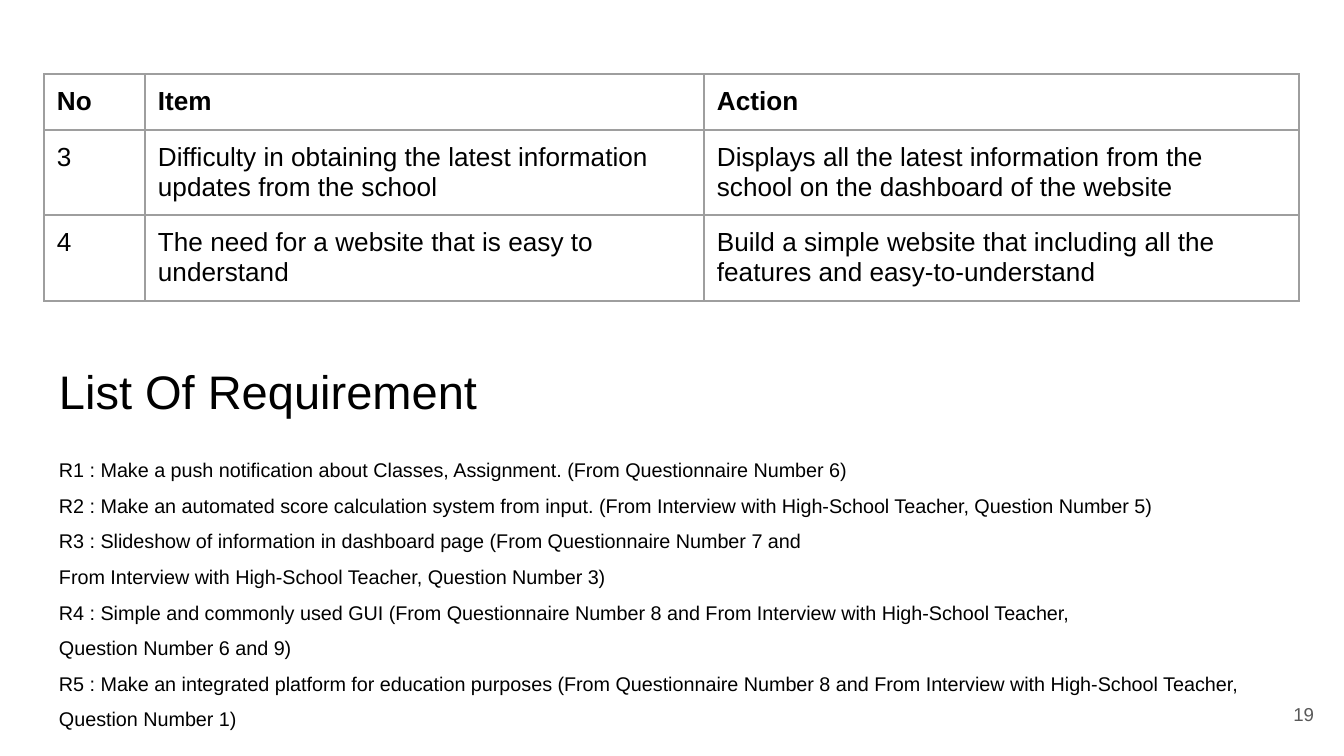
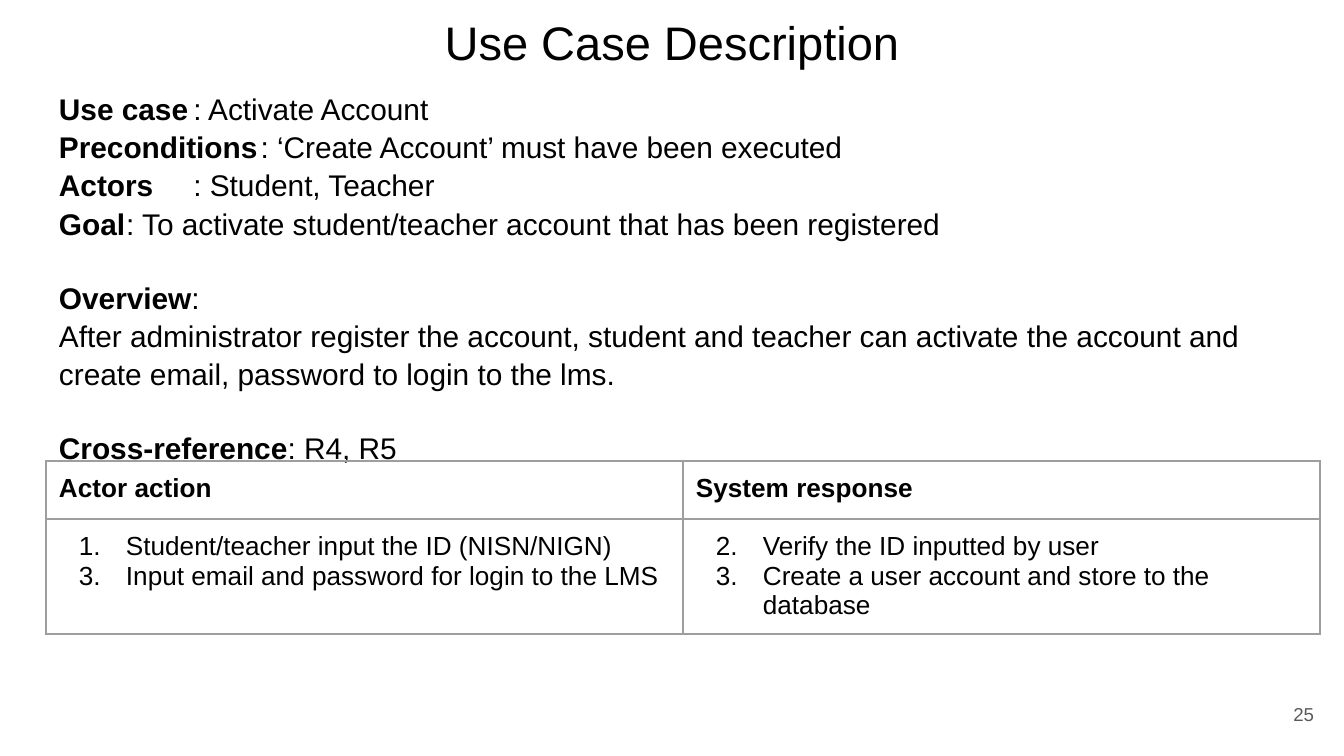
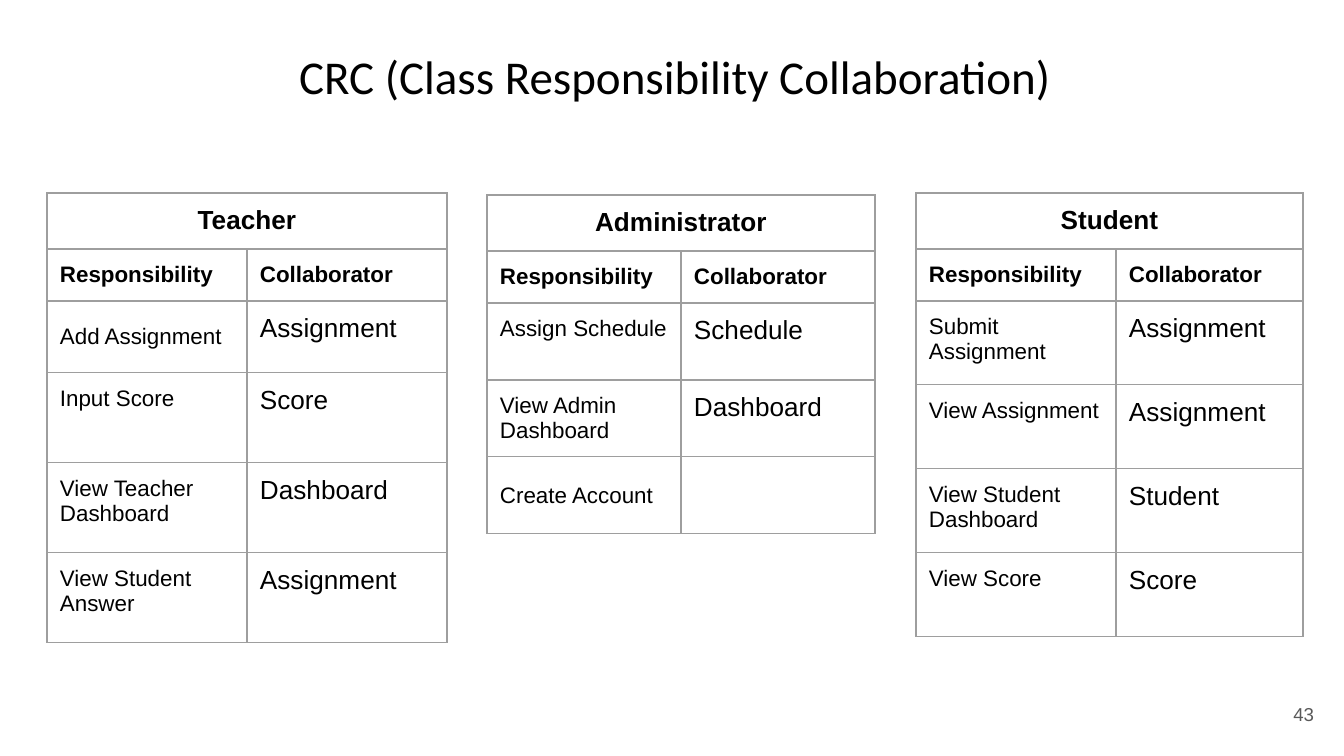
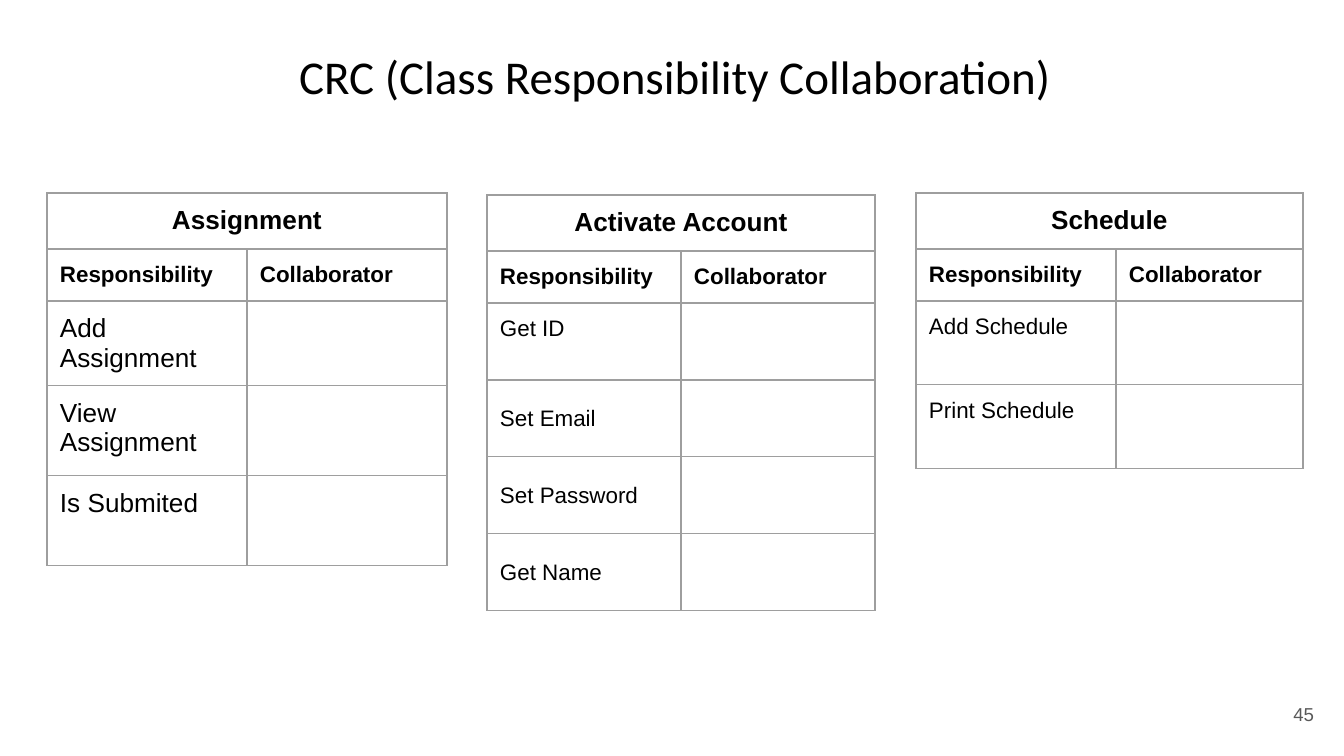
from lxml.etree import SubElement
from pptx import Presentation
from pptx.dml.color import RGBColor
from pptx.enum.text import MSO_ANCHOR as Anchor, MSO_AUTO_SIZE as AutoSize, PP_ALIGN as Align
from pptx.oxml.ns import qn
from pptx.util import Emu, Pt

SCALE = 914400 / 134.4  # EMU in one px
COLORS = {"text": "000000", "border": "9E9E9E", "number": "595959"}
INSETS = ("margin_left", "margin_top", "margin_right", "margin_bottom")
INSET = Emu(round(13 * SCALE))
BORDERS = ("a:lnL", "a:lnR", "a:lnT", "a:lnB")


def write(paragraph, text, size, bold=False, font="Arial", color="text"):
    run = paragraph.add_run()
    run.text = text
    formats = {"size": Pt(size), "bold": bold, "name": font}
    for name, value in formats.items():
        setattr(run.font, name, value)
    run.font.color.rgb = RGBColor.from_string(COLORS[color])


def add_grid(slide, left, top, widths, heights, rows):
    """Each row holds its texts, one size per text, and whether it is bold."""
    box = [Emu(round(v * SCALE)) for v in (left, top, sum(widths), sum(heights))]
    table = slide.shapes.add_table(len(rows), len(widths), *box).table
    table.first_row = table.horz_banding = False
    for column, width in zip(table.columns, widths):
        column.width = Emu(round(width * SCALE))
    for row, height, (texts, sizes, bold) in zip(table.rows, heights, rows):
        row.height = Emu(round(height * SCALE))
        for cell, text, size in zip(row.cells, texts, sizes):
            for inset in INSETS:
                setattr(cell, inset, INSET)
            properties = cell._tc.get_or_add_tcPr()
            for border in BORDERS:
                line = SubElement(properties, qn(border), w=str(Pt(0.75)))
                fill = SubElement(line, qn("a:solidFill"))
                SubElement(fill, qn("a:srgbClr"), val=COLORS["border"])
            cell.fill.background()
            if text:
                write(cell.text_frame.paragraphs[0], text, size, bold)
    return table


presentation = Presentation()
presentation.slide_width = Emu(round(1344 * SCALE))
presentation.slide_height = Emu(round(756 * SCALE))
BODY_LAYOUT, TITLE_LAYOUT = presentation.slide_layouts[1], presentation.slide_layouts[5]

# Titles, body boxes and page numbers of all slides
CRC = "CRC (Class Responsibility Collaboration)"
CRC_BOX = (286, 34, 860, 85)
pages = [
    (BODY_LAYOUT, "List Of Requirement", "Arial", Align.LEFT, (46, 349, 517, 85), (46, 433, 1254, 286), 19),
    (BODY_LAYOUT, "Use Case Description", "Arial", Align.CENTER, (310, 0, 724, 83), (46, 75, 1253, 625), 25),
    (TITLE_LAYOUT, CRC, "Calibri", Align.LEFT, CRC_BOX, None, 43),
    (TITLE_LAYOUT, CRC, "Calibri", Align.LEFT, CRC_BOX, None, 45),
]
for layout, title, font, alignment, title_box, body_box, number in pages:
    slide = presentation.slides.add_slide(layout)
    number_shape = slide.shapes.add_textbox(0, 0, 0, 0)
    placements = [(slide.shapes.title, title_box), (number_shape, (1246, 685, 81, 58))]
    if body_box:
        placements.append((slide.placeholders[1], body_box))
    for shape, box in placements:
        for name, value in zip(("left", "top", "width", "height"), box):
            setattr(shape, name, Emu(round(value * SCALE)))
        frame_formats = {"word_wrap": True, "auto_size": AutoSize.NONE, "vertical_anchor": Anchor.TOP}
        frame_formats.update(dict.fromkeys(INSETS, INSET))
        for name, value in frame_formats.items():
            setattr(shape.text_frame, name, value)
    title_paragraph = slide.shapes.title.text_frame.paragraphs[0]
    title_paragraph.alignment = alignment
    write(title_paragraph, title, 25.2, font=font)
    number_shape.text_frame.vertical_anchor = Anchor.MIDDLE
    number_paragraph = number_shape.text_frame.paragraphs[0]
    number_paragraph.alignment = Align.RIGHT
    write(number_paragraph, str(number), 10, color="number")

requirement_slide, use_case_slide, actor_slide, class_slide = presentation.slides

# Body texts: bold label, plain text, space before in points, tab stop in px
requirements = [("", text, 0, 0) for text in (
    "R1 : Make a push notification about Classes, Assignment. (From Questionnaire Number 6)",
    "R2 : Make an automated score calculation system from input. "
    "(From Interview with High-School Teacher, Question Number 5)",
    "R3 : Slideshow of information in dashboard page (From Questionnaire Number 7 and",
    "From Interview with High-School Teacher, Question Number 3)",
    "R4 : Simple and commonly used GUI (From Questionnaire Number 8 and From Interview with High-School Teacher,",
    "Question Number 6 and 9)",
    "R5 : Make an integrated platform for education purposes "
    "(From Questionnaire Number 8 and From Interview with High-School Teacher,",
    "Question Number 1)",
)]
use_case = [
    ("Use case", "\t: Activate Account", 0, 269),
    ("Preconditions", "\t: ‘Create Account’ must have been executed", 0, 269),
    ("Actors", "\t: Student, Teacher", 0, 269),
    ("Goal", "\t: To activate student/teacher account that has been registered", 0, 403),
    ("Overview", ":", 19, 0),
    ("", "After administrator register the account, student and teacher can activate the account and "
         "create email, password to login to the lms.", 0, 0),
    ("Cross-reference", ": R4, R5", 19, 0),
]
for slide, lines, size, spacing in (
    (requirement_slide, requirements, 10.6, 1.5),
    (use_case_slide, use_case, 16, 1.07),
):
    frame = slide.placeholders[1].text_frame
    for index, (label, text, space, tab) in enumerate(lines):
        paragraph = frame.add_paragraph() if index else frame.paragraphs[0]
        paragraph.line_spacing = spacing
        paragraph.space_before = Pt(space)
        properties = paragraph._p.get_or_add_pPr()
        properties.set("marL", "0")
        properties.set("indent", "0")
        SubElement(properties, qn("a:buNone"))
        if tab:
            tabs = SubElement(properties, qn("a:tabLst"))
            SubElement(tabs, qn("a:tab"), pos=str(round(tab * SCALE)), algn="l")
        if label:
            write(paragraph, label, size, bold=True)
        write(paragraph, text, size)

# Items and actions
add_grid(requirement_slide, 44, 74, (101, 559, 595), (56, 85, 86), [
    (("No", "Item", "Action"), (14, 14, 14), True),
    (("3", "Difficulty in obtaining the latest information updates from the school",
      "Displays all the latest information from the school on the dashboard of the website"), (14, 14, 14), False),
    (("4", "The need for a website that is easy to understand",
      "Build a simple website that including all the features and easy-to-understand"), (14, 14, 14), False),
])

# Actor actions and system responses, as numbered steps
step_table = add_grid(use_case_slide, 46, 461, (637, 637), (58, 115), [
    (("Actor action", "System response"), (14, 14), True),
    (("", ""), (14, 14), False),
])
steps = [
    [(1, "Student/teacher input the ID (NISN/NIGN)"), (3, "Input email and password for login to the LMS")],
    [(2, "Verify the ID inputted by user"), (2, "Create a user account and store to the database")],
]
for cell, cell_steps in zip(step_table.rows[1].cells, steps):
    for index, (start, text) in enumerate(cell_steps):
        frame = cell.text_frame
        paragraph = frame.add_paragraph() if index else frame.paragraphs[0]
        properties = paragraph._p.get_or_add_pPr()
        properties.set("marL", str(round(67 * SCALE)))
        properties.set("indent", str(round(-47 * SCALE)))
        SubElement(properties, qn("a:buAutoNum"), type="arabicPeriod", startAt=str(start))
        write(paragraph, text, 14)

# Class cards: three fixed columns, used on both slides
LEFT_CARD = (47, 193, (200, 200))
MIDDLE_CARD = (487, 195, (194, 194))
RIGHT_CARD = (916, 193, (200, 187))
# Slide, name, column, item heights, item text size, vertically centred items, items
cards = [
    (actor_slide, "Teacher", LEFT_CARD, (72, 90, 90, 90), 12, (0,), [
        ("Add Assignment", "Assignment"), ("Input Score", "Score"),
        ("View Teacher Dashboard", "Dashboard"), ("View Student Answer", "Assignment")]),
    (actor_slide, "Administrator", MIDDLE_CARD, (77, 77, 77), 12, (1, 2), [
        ("Assign Schedule", "Schedule"), ("View Admin Dashboard", "Dashboard"), ("Create Account", "")]),
    (actor_slide, "Student", RIGHT_CARD, (84, 84, 84, 84), 12, (), [
        ("Submit Assignment", "Assignment"), ("View Assignment", "Assignment"),
        ("View Student Dashboard", "Student"), ("View Score", "Score")]),
    (class_slide, "Assignment", LEFT_CARD, (85, 90, 90), 14, (0,), [
        ("Add Assignment", ""), ("View Assignment", ""), ("Is Submited", "")]),
    (class_slide, "Activate Account", MIDDLE_CARD, (77, 77, 77, 77), 12, (1, 2, 3), [
        ("Get ID", ""), ("Set Email", ""), ("Set Password", ""), ("Get Name", "")]),
    (class_slide, "Schedule", RIGHT_CARD, (84, 84), 12, (), [
        ("Add Schedule", ""), ("Print Schedule", "")]),
]
for slide, name, (left, top, widths), heights, size, centred, items in cards:
    rows = [((name, ""), (14, 14), True), (("Responsibility", "Collaborator"), (12, 12), True)]
    rows += [(item, (size, 14), False) for item in items]
    card = add_grid(slide, left, top, widths, (56, 52, *heights), rows)
    card.cell(0, 0).merge(card.cell(0, 1))
    card.cell(0, 0).text_frame.paragraphs[0].alignment = Align.CENTER
    for index in centred:
        card.cell(index + 2, 0).vertical_anchor = Anchor.MIDDLE

presentation.save("out.pptx")
